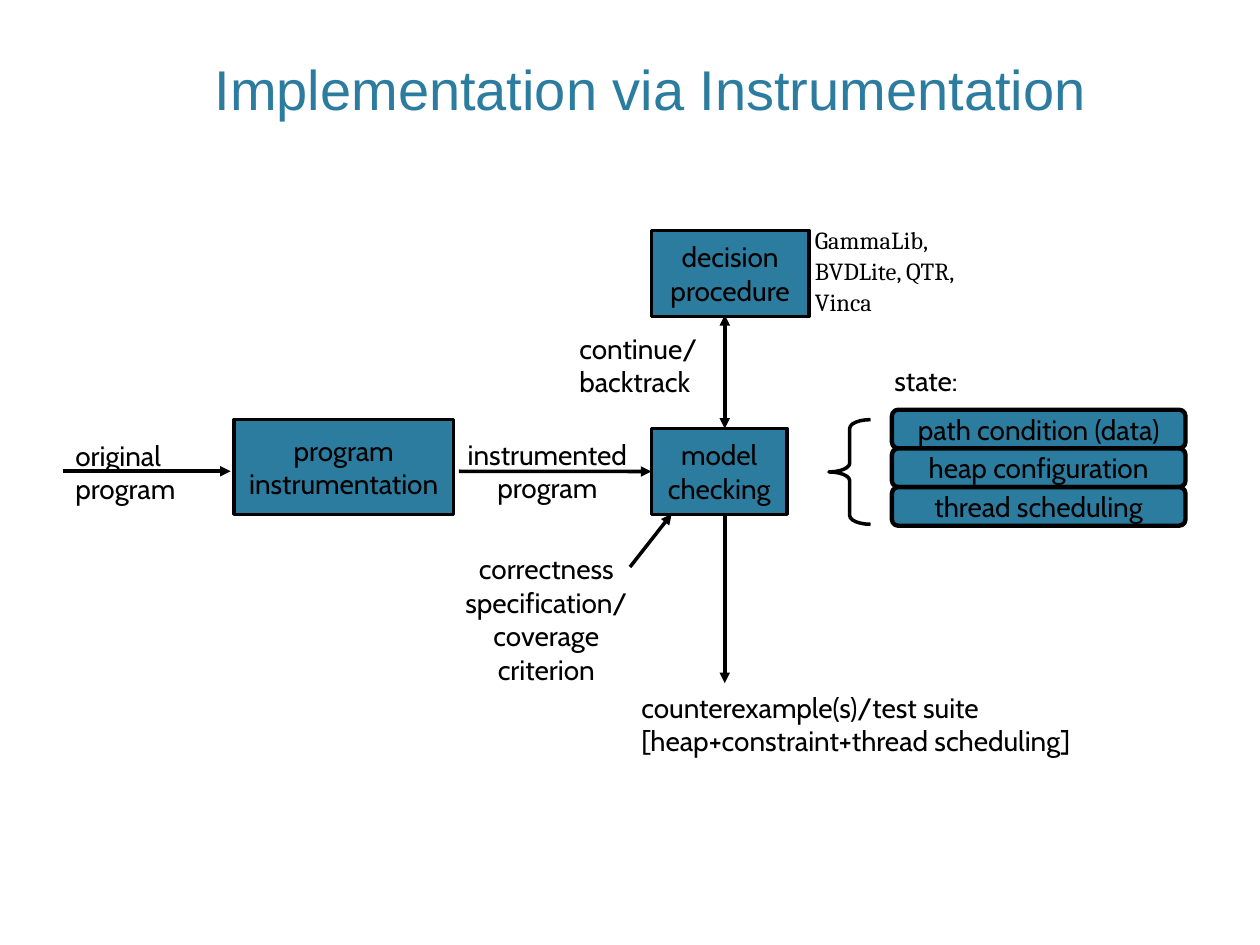
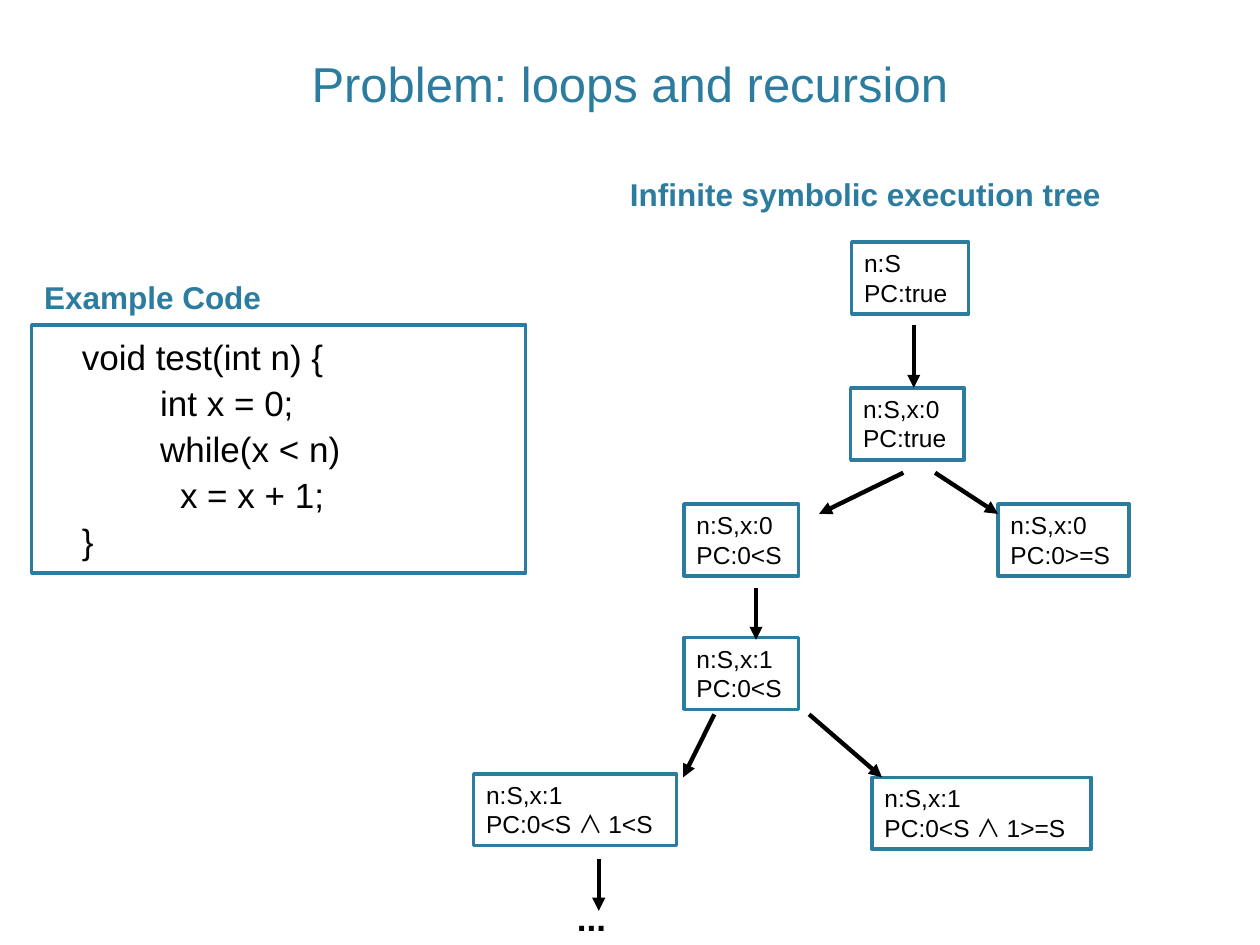
from lxml.etree import SubElement
from pptx import Presentation
from pptx.dml.color import RGBColor
from pptx.enum.shapes import MSO_CONNECTOR, MSO_SHAPE
from pptx.enum.text import MSO_ANCHOR, PP_ALIGN
from pptx.oxml.ns import qn
from pptx.util import Cm, Pt

COLORS = {"blue": "2C7C9F", "black": "000000", "white": "FFFFFF"}
RGB = {name: RGBColor.from_string(value) for name, value in COLORS.items()}


def add_box(s, at, lines, size=16, font="Cabin", color="black", bold=False,
            shape=None, fill=None, line=None, width=2, center=False):
    """Add a text box, or a preset shape with text, at a place in cm."""
    at = [Cm(v) for v in at]
    if shape is None:
        sp = s.shapes.add_textbox(*at)
    else:
        sp = s.shapes.add_shape(shape, *at)
        sp.shadow.inherit = False
        if fill:
            sp.fill.solid()
            sp.fill.fore_color.rgb = RGB[fill]
        else:
            sp.fill.background()
        sp.line.color.rgb = RGB[line]
        sp.line.width = Pt(width)
    tf = sp.text_frame
    tf.word_wrap = True
    tf.margin_left = 0 if center else Cm(0.25)
    tf.margin_right = 0
    middle = center and shape is not None
    tf.vertical_anchor = MSO_ANCHOR.MIDDLE if middle else MSO_ANCHOR.TOP
    if middle:
        tf.margin_top = tf.margin_bottom = 0
    tf.text = "\n".join(lines)
    for p in tf.paragraphs:
        p.alignment = PP_ALIGN.CENTER if center else PP_ALIGN.LEFT
        for r in p.runs:
            r.font.size, r.font.name, r.font.bold = Pt(size), font, bold
            r.font.color.rgb = RGB[color]
    return sp


def add_arrow(s, x1, y1, x2, y2, width=2, both=False):
    """Add a black arrow between two points in cm."""
    c = s.shapes.add_connector(MSO_CONNECTOR.STRAIGHT, Cm(x1), Cm(y1), Cm(x2), Cm(y2))
    c.line.color.rgb = RGB["black"]
    c.line.width = Pt(width)
    ln = c.line._get_or_add_ln()
    for end in ["headEnd", "tailEnd"] if both else ["tailEnd"]:
        SubElement(ln, qn(f"a:{end}"), type="triangle")
    SubElement(c._element.spPr, qn("a:effectLst"))
    return c


prs = Presentation()
prs.slide_width, prs.slide_height = Cm(25.4), Cm(19.05)

# Titles
titles = [
    ("Implementation via Instrumentation", 32, (0.84, 0.69, 24.56, 1.9)),
    ("Problem: loops and recursion", 28, (1.52, 0.3, 22.35, 2.09)),
]
for text, size, at in titles:
    s = prs.slides.add_slide(prs.slide_layouts[5])
    title = s.shapes.title
    title.left, title.top, title.width, title.height = [Cm(v) for v in at]
    tf = title.text_frame
    tf.text = text
    tf.vertical_anchor = MSO_ANCHOR.BOTTOM
    p = tf.paragraphs[0]
    p.alignment = PP_ALIGN.CENTER
    font = p.runs[0].font
    font.size, font.name = Pt(size), "Arial"
    font.color.rgb = RGB["blue"]
flow, tree = prs.slides

# Flow: process boxes
steps = {}
for at, lines in [
    ((4.72, 8.46, 4.42, 1.91), ["program", "instrumentation"]),
    ((13.13, 8.64, 2.74, 1.73), ["model", "checking"]),
    ((13.13, 4.65, 3.18, 1.73), ["decision", "procedure"]),
]:
    steps[lines[0]] = add_box(flow, at, lines, shape=MSO_SHAPE.RECTANGLE,
                              fill="blue", line="black", center=True)

# Flow: arrows
add_arrow(flow, 14.61, 6.35, 14.61, 8.64, both=True)
add_arrow(flow, 14.61, 10.34, 14.61, 13.77)
add_arrow(flow, 1.27, 9.5, 4.65, 9.5)
add_arrow(flow, 12.7, 11.43, 13.54, 10.36)
add_arrow(flow, 9.25, 9.5, 13.13, 9.5).end_connect(steps["model"], 1)

# Flow: labels
for at, lines, center in [
    ((1.27, 8.71, 3, 1.78), ["original", "program"], False),
    ((8.81, 8.69, 4.45, 1.78), ["instrumented", "program"], True),
    ((8.69, 11, 4.65, 2.97),
     ["correctness", "specification/", "coverage", "criterion"], True),
    ((11.43, 6.55, 3.33, 1.68), ["continue/", "backtrack"], False),
    ((12.68, 13.79, 10.5, 1.68),
     ["counterexample(s)/test suite", "[heap+constraint+thread scheduling]"], False),
    ((17.78, 7.21, 2.5, 0.94), ["state:"], False),
]:
    add_box(flow, at, lines, center=center)

# Flow: solvers beside the decision procedure
solvers = add_box(flow, (16.18, 4.47, 9.2, 2.08),
                  ["GammaLib,", "BVDLite, QTR,", "Vinca"], 14, "Cambria")
for p in solvers.text_frame.paragraphs:
    p.line_spacing, p.space_before = 0.9, Pt(2.8)

# Flow: state stack with its brace
for i, part in enumerate(["path condition (data)", "heap configuration",
                          "thread scheduling"]):
    add_box(flow, (17.98, 8.26 + i * 0.78, 5.92, 0.78), [part],
            shape=MSO_SHAPE.ROUNDED_RECTANGLE, fill="blue", line="black",
            width=2.5, center=True)
brace = add_box(flow, (16.71, 8.46, 0.84, 2.11), [], shape=MSO_SHAPE.LEFT_BRACE,
                line="black")
brace.adjustments[0] = 0.21

# Tree: headings
for x, y, heading in [(12.45, 3.4, "Infinite symbolic execution tree"),
                      (0.64, 5.49, "Example Code")]:
    add_box(tree, (x, y, 11, 1.02), [heading], 18, "Arial", "blue", True)

# Tree: example code
code = [
    (0.76, "void test(int n) {"),
    (2.34, "int x = 0;"),
    (2.34, "while(x < n)"),
    (2.74, "x = x + 1;"),
    (0.76, "}"),
]
sp = add_box(tree, (0.64, 6.55, 9.96, 5), [text for _, text in code], 20, "Arial",
             shape=MSO_SHAPE.RECTANGLE, fill="white", line="blue")
for p, (indent, _) in zip(sp.text_frame.paragraphs, code):
    p.line_spacing = 1.1
    p._p.get_or_add_pPr().set("marL", str(Cm(indent)))

# Tree: states
for x, y, w, values, condition in [
    (17.17, 4.88, 2.36, "n:S", "PC:true"),
    (17.15, 7.82, 2.29, "n:S,x:0", "PC:true"),
    (13.79, 10.16, 2.31, "n:S,x:0", "PC:0<S"),
    (20.12, 10.16, 2.64, "n:S,x:0", "PC:0>=S"),
    (13.79, 12.85, 2.31, "n:S,x:1", "PC:0<S"),
    (9.55, 15.6, 4.09, "n:S,x:1", "PC:0<S ∧ 1<S"),
    (17.58, 15.67, 4.42, "n:S,x:1", "PC:0<S ∧ 1>=S"),
]:
    sp = add_box(tree, (x, y, w, 1.45), [values, condition], 14, "Arial",
                 shape=MSO_SHAPE.RECTANGLE, fill="white", line="blue")
    if "∧" in condition:
        p = sp.text_frame.paragraphs[1]
        before, after = condition.split("∧ ")
        p.runs[0].text = before
        for text, name in [("∧ ", "Noto Sans CJK JP"), (after, "Arial")]:
            r = p.add_run()
            r.text = text
            r.font.size, r.font.name = Pt(14), name
            r.font.color.rgb = RGB["black"]
            if name != "Arial":
                SubElement(r.font._element, qn("a:ea"), typeface=name)

# Tree: arrows
for ends in [
    (18.42, 6.55, 18.42, 7.82),
    (18.21, 9.53, 16.51, 10.36),
    (18.85, 9.53, 20.12, 10.36),
    (15.24, 11.86, 15.24, 12.9),
    (14.4, 14.4, 13.77, 15.67),
    (16.31, 14.4, 17.78, 15.67),
    (12.07, 17.32, 12.07, 18.36),
]:
    add_arrow(tree, *ends, width=2.5)
add_box(tree, (11.38, 17.94, 1.27, 1.1), ["..."], 20, "Arial", bold=True)

prs.save("out.pptx")
